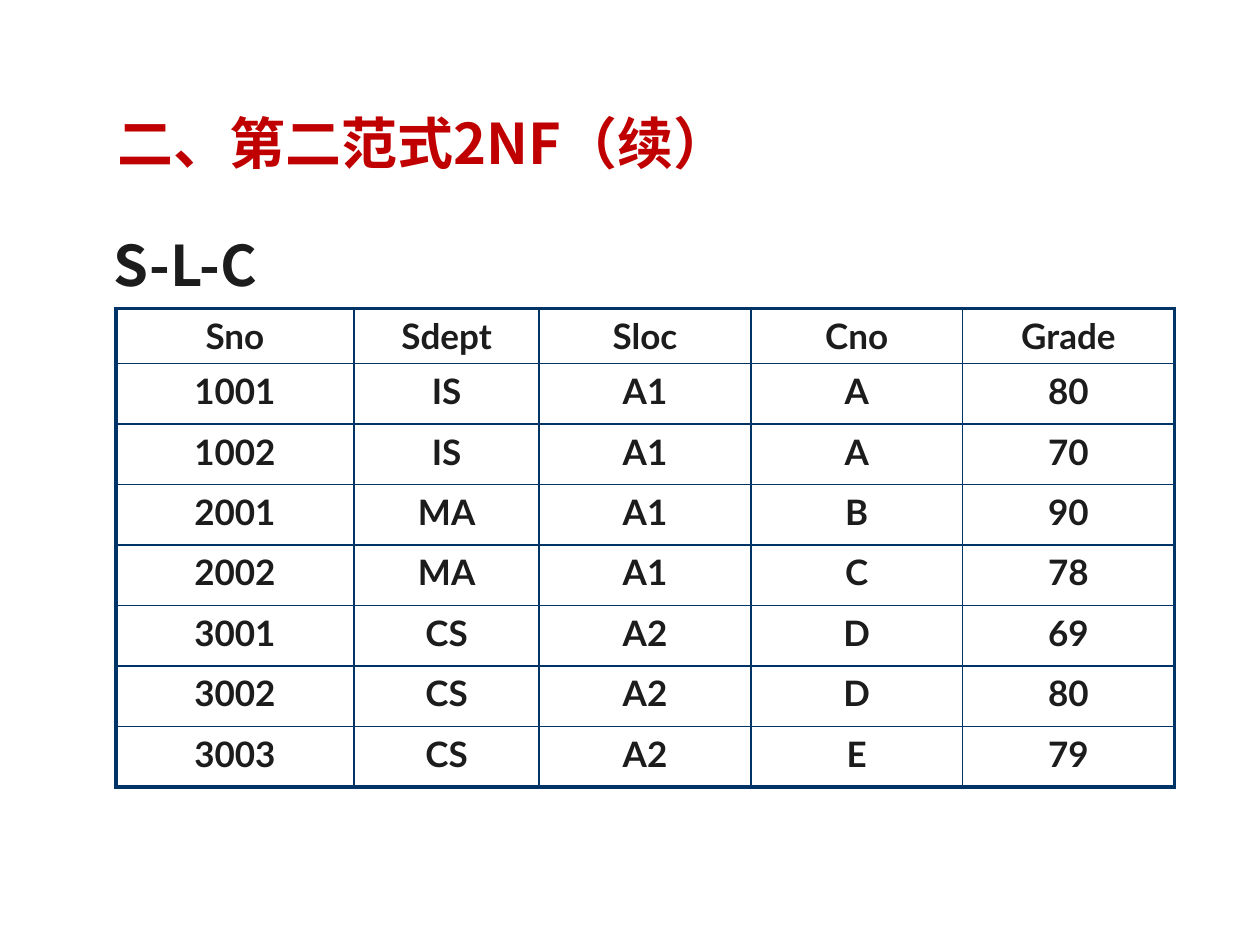
import pptx
import pptx.dml.color
import pptx.enum.text
import pptx.oxml
import pptx.oxml.ns
import pptx.util

THEME = {
    "title_color": "C00000",
    "text_color": "1C1C1C",
    "rule_color": "003366",
    "heading_font": "Noto Sans CJK SC",
    "table_font": "Lato",
    "heading_size": 32,
    "table_size": 20,
    "outer_rule": 2.25,
    "inner_rule": 1,
}
LEFT = pptx.enum.text.PP_ALIGN.LEFT
CENTER = pptx.enum.text.PP_ALIGN.CENTER
TOP = pptx.enum.text.MSO_ANCHOR.TOP
MIDDLE = pptx.enum.text.MSO_ANCHOR.MIDDLE


def write_text(text_frame, text, *, size, font, color, align=LEFT, anchor=TOP, indent=None):
    text_frame.word_wrap = True
    text_frame.vertical_anchor = anchor
    paragraph = text_frame.paragraphs[0]
    paragraph.alignment = align
    paragraph.space_before = pptx.util.Pt(0)
    if indent is not None:
        properties = paragraph._p.get_or_add_pPr()
        properties.set("marL", str(pptx.util.Inches(indent)))
        properties.set("indent", "0")
        pptx.oxml.ns.qn("a:buNone")
        properties.append(properties.makeelement(pptx.oxml.ns.qn("a:buNone"), {}))
    run = paragraph.add_run()
    run.text = text
    run.font.size = pptx.util.Pt(size)
    run.font.bold = True
    run.font.name = font
    run.font.color.rgb = pptx.dml.color.RGBColor.from_string(color)
    east_asian = run._r.rPr.makeelement(pptx.oxml.ns.qn("a:ea"), {"typeface": font})
    run._r.rPr.append(east_asian)


def add_border(cell, side, width):
    cell._tc.get_or_add_tcPr().append(pptx.oxml.parse_xml(
        f'<a:{side} {pptx.oxml.ns.nsdecls("a")} w="{pptx.util.Pt(width)}">'
        f'<a:solidFill><a:srgbClr val="{THEME["rule_color"]}"/></a:solidFill></a:{side}>'
    ))


presentation = pptx.Presentation()
presentation.slide_width = pptx.util.Inches(10)
presentation.slide_height = pptx.util.Inches(7.5)
slide = presentation.slides.add_slide(presentation.slide_layouts[1])

title = slide.shapes.title
title.left, title.top, title.width, title.height = map(pptx.util.Inches, (0.83, 0.5, 8.65, 1.25))
write_text(title.text_frame, "二、第二范式2NF（续）", size=THEME["heading_size"],
           font=THEME["heading_font"], color=THEME["title_color"], anchor=MIDDLE)

body = slide.placeholders[1]
body.left, body.top, body.width, body.height = map(pptx.util.Inches, (0.5, 1.78, 10.73, 4.5))
write_text(body.text_frame, "S-L-C", size=THEME["heading_size"],
           font=THEME["heading_font"], color=THEME["text_color"], indent=0.3)

records = [
    ("Sno", "Sdept", "Sloc", "Cno", "Grade"),
    ("1001", "IS", "A1", "A", "80"),
    ("1002", "IS", "A1", "A", "70"),
    ("2001", "MA", "A1", "B", "90"),
    ("2002", "MA", "A1", "C", "78"),
    ("3001", "CS", "A2", "D", "69"),
    ("3002", "CS", "A2", "D", "80"),
    ("3003", "CS", "A2", "E", "79"),
]
column_widths = [1.89, 1.47] + [1.68] * 3
row_heights = [0.43] + [0.48] * (len(records) - 1)
last_row, last_column = len(row_heights) - 1, len(column_widths) - 1

table = slide.shapes.add_table(
    len(row_heights), len(column_widths), pptx.util.Inches(0.92), pptx.util.Inches(2.45),
    pptx.util.Inches(sum(column_widths)), pptx.util.Inches(sum(row_heights)),
).table
table.first_row = False
table.horz_banding = False
for column, width in zip(table.columns, column_widths):
    column.width = pptx.util.Inches(width)
for row, height in zip(table.rows, row_heights):
    row.height = pptx.util.Inches(height)

for row_index, record in enumerate(records):
    for column_index, value in enumerate(record):
        cell = table.cell(row_index, column_index)
        write_text(cell.text_frame, value, size=THEME["table_size"],
                   font=THEME["table_font"], color=THEME["text_color"], align=CENTER)
        outer_sides = {
            "lnL": column_index == 0,
            "lnR": column_index == last_column,
            "lnT": row_index == 0,
            "lnB": row_index == last_row,
        }
        for side, is_outer in outer_sides.items():
            add_border(cell, side, THEME["outer_rule" if is_outer else "inner_rule"])
        cell.fill.background()

presentation.save("out.pptx")
